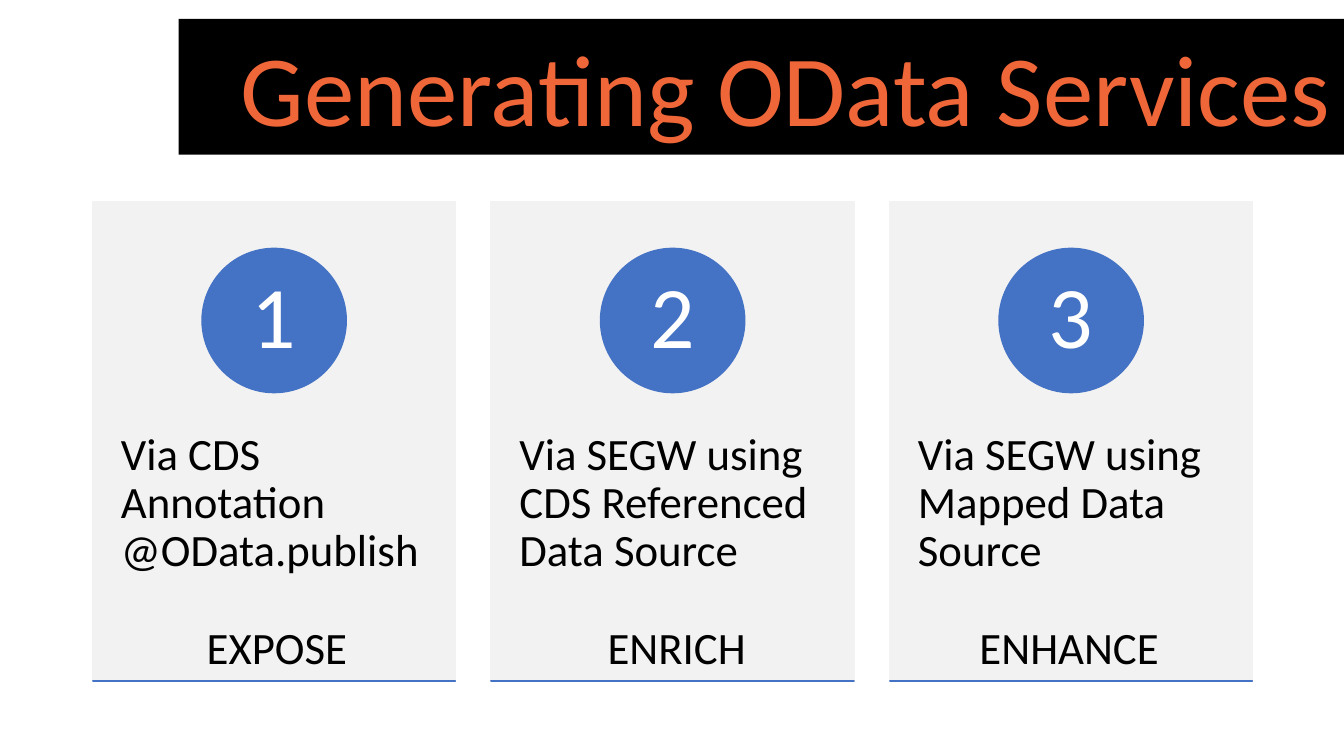
"""Build a slide of three numbered cards on generating OData services."""
from dataclasses import dataclass

from pptx import Presentation
from pptx.dml.color import RGBColor as Color
from pptx.enum.shapes import MSO_SHAPE as Shape
from pptx.enum.text import MSO_ANCHOR as Anchor, PP_ALIGN as Align
from pptx.util import Inches, Pt

TITLE = "Generating OData Services"
CARDS = [
    {"text": "Via CDS Annotation @OData.publish", "goal": "EXPOSE", "goal_left": 0.74, "goal_width": 2.64},
    {"text": "Via SEGW using CDS Referenced Data Source", "goal": "ENRICH", "goal_left": 3.67, "goal_width": 2.73},
    {"text": "Via SEGW using Mapped Data Source", "goal": "ENHANCE", "goal_left": 6.59, "goal_width": 2.73},
]


@dataclass(frozen=True)
class Theme:
    font: str = "Calibri"
    ink: str = "000000"
    paper: str = "FFFFFF"
    panel: str = "F2F2F2"
    accent: str = "4472C4"
    title: str = "EF6639"
    title_size: int = 54
    number_size: int = 47
    body_size: int = 24


THEME = Theme()
PAGE_WIDTH = 10
PAGE_HEIGHT = PAGE_WIDTH * 9 / 16
CARD_LEFT, CARD_TOP, CARD_WIDTH, CARD_HEIGHT = 0.69, 1.5, 2.7, 3.57
LAST_CARD_LEFT = 6.62
CARD_STEP = (LAST_CARD_LEFT - CARD_LEFT) / (len(CARDS) - 1)
CIRCLE_TOP, CIRCLE_SIZE, NUMBER_SIZE = 1.85, 1.07, 0.76


def add_block(parent, kind, place, color, outlined=True):
    block = parent.add_shape(kind, *map(Inches, place))
    block.shadow.inherit = False
    block.fill.solid()
    block.fill.fore_color.rgb = Color.from_string(color)
    if outlined:
        block.line.color.rgb = Color.from_string(color)
        block.line.width = Pt(1)
    else:
        block.line.fill.background()
    return block


def write(box, text, size, color, align, insets=(0.1, 0.05), anchor=Anchor.TOP, spacing=None, after=None):
    frame = box.text_frame
    frame.text = text
    frame.word_wrap = True
    frame.vertical_anchor = anchor
    frame.margin_left = frame.margin_right = Inches(insets[0])
    frame.margin_top = frame.margin_bottom = Inches(insets[1])
    para = frame.paragraphs[0]
    para.alignment = align
    para.line_spacing = spacing
    para.space_after = after
    for span in para.runs:
        span.font.name = THEME.font
        span.font.size = Pt(size)
        span.font.color.rgb = Color.from_string(color)


def add_card(page, index, card):
    left = CARD_LEFT + index * CARD_STEP
    center = left + CARD_WIDTH / 2
    number_top = CIRCLE_TOP + (CIRCLE_SIZE - NUMBER_SIZE) / 2
    group = page.shapes.add_group_shape().shapes

    add_block(group, Shape.RECTANGLE, (left, CARD_TOP, CARD_WIDTH, CARD_HEIGHT), THEME.panel)
    body = group.add_textbox(*map(Inches, (left, 2.85, CARD_WIDTH, 2.14)))
    write(body, card["text"], THEME.body_size, THEME.ink, Align.LEFT,
          insets=(0.21, 0.36), spacing=0.9, after=Pt(8))
    add_block(group, Shape.OVAL, (center - CIRCLE_SIZE / 2, CIRCLE_TOP, CIRCLE_SIZE, CIRCLE_SIZE), THEME.accent)
    number = group.add_textbox(*map(Inches, (center - NUMBER_SIZE / 2, number_top, NUMBER_SIZE, NUMBER_SIZE)))
    write(number, str(index + 1), THEME.number_size, THEME.paper, Align.CENTER,
          insets=(0.08, 0.01), anchor=Anchor.MIDDLE, spacing=0.9)
    add_block(group, Shape.RECTANGLE, (left, CARD_TOP + CARD_HEIGHT, CARD_WIDTH, 0), THEME.accent)


def main():
    deck = Presentation()
    deck.slide_width, deck.slide_height = Inches(PAGE_WIDTH), Inches(PAGE_HEIGHT)
    page = deck.slides.add_slide(deck.slide_layouts[6])
    for index, card in enumerate(CARDS):
        add_card(page, index, card)
    for card in CARDS:
        goal = page.shapes.add_textbox(*map(Inches, (card["goal_left"], 4.56, card["goal_width"], 0.5)))
        write(goal, card["goal"], THEME.body_size, THEME.ink, Align.CENTER)
    banner = add_block(page.shapes, Shape.RECTANGLE, (1.33, 0.14, 8.67, 1.01), THEME.ink, outlined=False)
    write(banner, TITLE, THEME.title_size, THEME.title, Align.RIGHT)
    deck.save("out.pptx")


if __name__ == "__main__":
    main()
